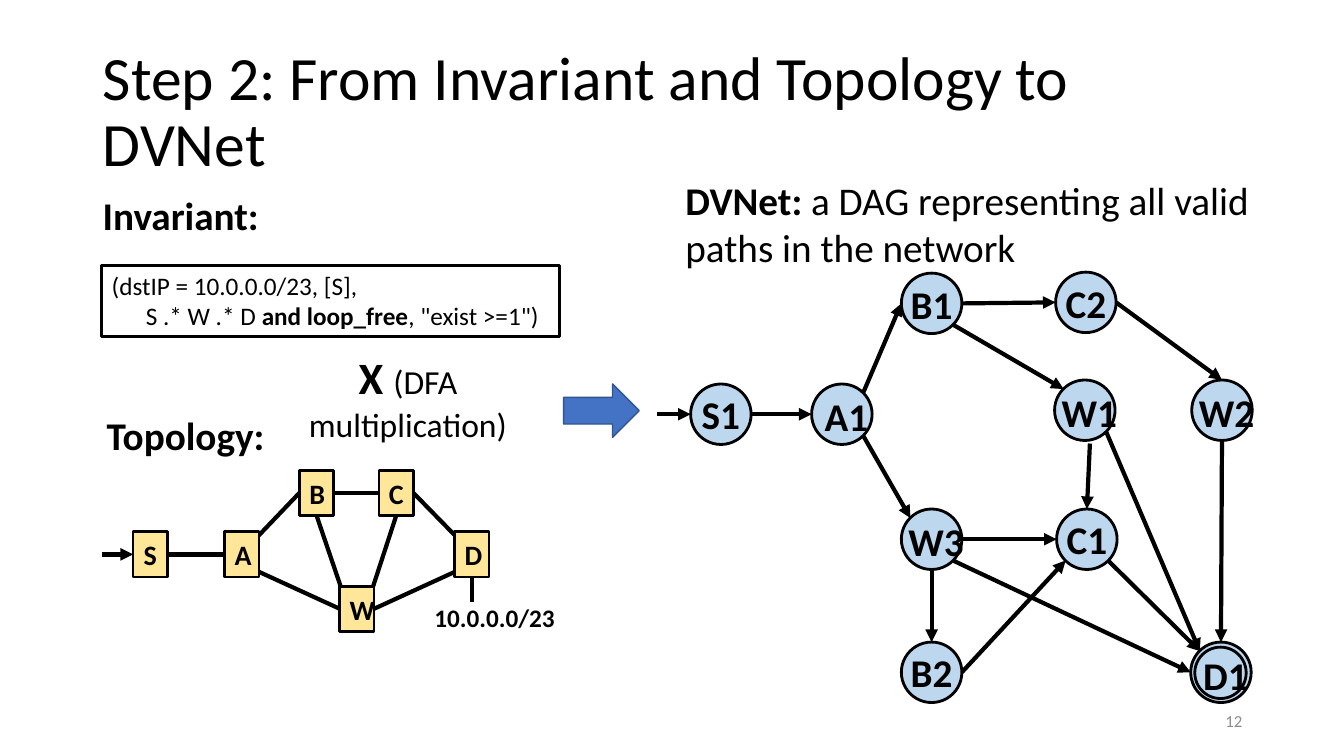
from pptx import Presentation
from pptx.dml.color import RGBColor
from pptx.enum.shapes import MSO_CONNECTOR, MSO_SHAPE as SHAPE
from pptx.enum.text import MSO_ANCHOR as ANCHOR, MSO_AUTO_SIZE, PP_ALIGN as ALIGN
from pptx.oxml.ns import qn
from pptx.util import Inches, Pt
from lxml.etree import SubElement

COLORS = {
    "black": "000000", "number": "8C8C8C", "node": "BDD7EE", "router": "FFE699",
    "arrow": "4472C4", "arrow edge": "325491",
}
color = {name: RGBColor.from_string(value) for name, value in COLORS.items()}

prs = Presentation()
prs.slide_width, prs.slide_height = Inches(13.33), Inches(7.5)
slide = prs.slides.add_slide(prs.slide_layouts[5])
shapes = slide.shapes


def write(shape, lines, size, align=ALIGN.LEFT, ink="black", anchor=ANCHOR.TOP, wrap=True):
    """Fill a shape with lines, each a list of (text, bold, own size or None) runs."""
    frame = shape.text_frame
    frame.word_wrap, frame.vertical_anchor = wrap, anchor
    for i, runs in enumerate(lines):
        paragraph = frame.paragraphs[0] if i == 0 else frame.add_paragraph()
        paragraph.alignment = align
        font = paragraph.font
        font.name, font.size, font.color.rgb = "Calibri", Pt(size), color[ink]
        for text, bold, own_size in runs:
            run = paragraph.add_run()
            run.text, run.font.bold = text, bold
            if own_size:
                run.font.size = Pt(own_size)


def draw_link(start, end, arrow=False):
    link = shapes.add_connector(MSO_CONNECTOR.STRAIGHT, *map(Inches, start + end))
    link.line.width, link.line.color.rgb = Pt(3), color["black"]
    if arrow:
        SubElement(link.line._get_or_add_ln(), qn("a:tailEnd"), type="triangle")
    SubElement(link._element.spPr, qn("a:effectLst"))


# Title and slide number
title = shapes.title
title.left, title.top, title.width, title.height = map(Inches, (0.92, 0.4, 11.5, 1.45))
write(title, [[("Step 2: From Invariant and Topology to DVNet", False, None)]], 44,
      anchor=ANCHOR.MIDDLE)
title.text_frame.auto_size = MSO_AUTO_SIZE.NONE
title.text_frame.paragraphs[0].line_spacing = 0.9
number = shapes.add_textbox(*map(Inches, (9.42, 6.95, 3, 0.4)))
write(number, [[("12", False, None)]], 12, ALIGN.RIGHT, "number", ANCHOR.MIDDLE)

# Headings and captions
for place, runs, size, align, wrap in [
    ((0.92, 1.85, 1.77, 0.57), [("Invariant:", True, None)], 28, ALIGN.LEFT, False),
    ((0.96, 4.03, 1.78, 0.57), [("Topology:", True, None)], 28, ALIGN.LEFT, False),
    ((4.21, 5.93, 1.41, 0.4), [("10.0.0.0/23", True, None)], 18, ALIGN.LEFT, False),
    ((6.7, 1.7, 5.84, 1.04),
     [("DVNet: ", True, None), ("a DAG representing all valid paths in the network", False, None)],
     28, ALIGN.LEFT, True),
    ((2.44, 3.42, 3.21, 0.64),
     [("X ", True, 32), ("(DFA multiplication)", False, 24)], 32, ALIGN.CENTER, True),
]:
    write(shapes.add_textbox(*map(Inches, place)), [runs], size, align, wrap=wrap)

# Invariant and the arrow to the DVNet
invariant = shapes.add_shape(SHAPE.RECTANGLE, *map(Inches, (1.01, 2.63, 4.54, 0.71)))
invariant.shadow.inherit = False
invariant.fill.background()
invariant.line.color.rgb, invariant.line.width = color["black"], Pt(2)
write(invariant, [
    [("(dstIP = 10.0.0.0/23, [S],", False, None)],
    [("      S .* W .* D ", False, None), ("and loop_free", True, None),
     (", \"exist >=1\")", False, None)],
], 18)
step = shapes.add_shape(SHAPE.RIGHT_ARROW, *map(Inches, (5.59, 3.81, 0.75, 0.53)))
step.shadow.inherit = False
step.fill.solid()
step.fill.fore_color.rgb = color["arrow"]
step.line.color.rgb, step.line.width = color["arrow edge"], Pt(1)

# Both graphs: centres of the nodes, then edges as (from, side, to, side)
routers = {"S": (1.49, 5.5), "A": (2.4, 5.5), "B": (3.14, 4.89), "C": (3.93, 4.89),
           "D": (4.68, 5.5), "W": (3.54, 6.04)}
router_links = [
    ("S", "e", "A", "w"), ("A", "ne", "B", "w"), ("B", "e", "C", "w"),
    ("A", "se", "W", "w"), ("W", "e", "D", "sw"), ("C", "e", "D", "nw"),
    ("W", "nw", "B", "s"), ("W", "ne", "C", "s"),
]
dag_nodes = {"S1": (7.15, 4.11), "A1": (8.35, 4.11), "B1": (9.24, 3.01), "C2": (10.77, 3),
             "W1": (10.76, 4.07), "W2": (12.12, 4.07), "W3": (9.24, 5.35),
             "C1": (10.78, 5.35), "B2": (9.24, 6.67), "D1": (12.11, 6.67)}
dag_edges = [
    ("S1", "e", "A1", "w"), ("A1", "ne", "B1", "w"), ("B1", "e", "C2", "w"),
    ("B1", "se", "W1", "nw"), ("C2", "e", "W2", "n"), ("W1", "label", "C1", "n"),
    ("A1", "se", "W3", "nw"), ("W3", "s", "B2", "n"), ("W3", "e", "C1", "w"),
    ("W1", "se", "D1", "nw"), ("W2", "s", "D1", "n"), ("W3", "se", "D1", "w"),
    ("C1", "se", "D1", "nw"), ("B2", "e", "C1", "sw"),
]
shifted_labels = {"A1", "W1", "W2", "W3", "D1"}

draw_link((1.01, 5.5), (1.32, 5.5), arrow=True)
draw_link((6.52, 4.11), (6.85, 4.11), arrow=True)
draw_link((4.68, 5.73), (4.68, 5.97))

for nodes, edges, kind, outline, width, height, corner, size, arrow in [
    (routers, router_links, "router", SHAPE.RECTANGLE, 0.34, 0.45, (0.14, 0.16), 20, False),
    (dag_nodes, dag_edges, "node", SHAPE.OVAL, 0.6, 0.6, (0.21, 0.21), 28, True),
]:
    dx, dy = corner
    sides = {"n": (0, -height / 2), "s": (0, height / 2), "w": (-width / 2, 0),
             "e": (width / 2, 0), "nw": (-dx, -dy), "ne": (dx, -dy), "sw": (-dx, dy),
             "se": (dx, dy), "label": (0.05, 0.33)}
    for source, exit_side, target, entry_side in edges:
        start, end = [
            (nodes[name][0] + sides[side][0], nodes[name][1] + sides[side][1])
            for name, side in ((source, exit_side), (target, entry_side))
        ]
        draw_link(start, end, arrow)
    for name, (x, y) in nodes.items():
        node = shapes.add_shape(outline, Inches(x - width / 2), Inches(y - height / 2),
                                Inches(width), Inches(height))
        node.shadow.inherit = False
        node.fill.solid()
        node.fill.fore_color.rgb = color[kind]
        node.line.color.rgb, node.line.width = color["black"], Pt(2)
        write(node, [[(name, True, None)]], size, ALIGN.CENTER, anchor=ANCHOR.MIDDLE,
              wrap=kind == "router")
        if kind == "node":
            frame = node.text_frame
            frame.margin_right = frame.margin_bottom = 0
            frame.margin_left = Inches(0.09 if name in shifted_labels else 0)
            frame.margin_top = Inches(0.04 if name in shifted_labels else 0)

# Inner ring of the accepting node
accepting = shapes.add_shape(SHAPE.OVAL, *map(Inches, (11.85, 6.42, 0.51, 0.51)))
accepting.shadow.inherit = False
accepting.fill.background()
accepting.line.color.rgb, accepting.line.width = color["black"], Pt(2)

prs.save("out.pptx")
